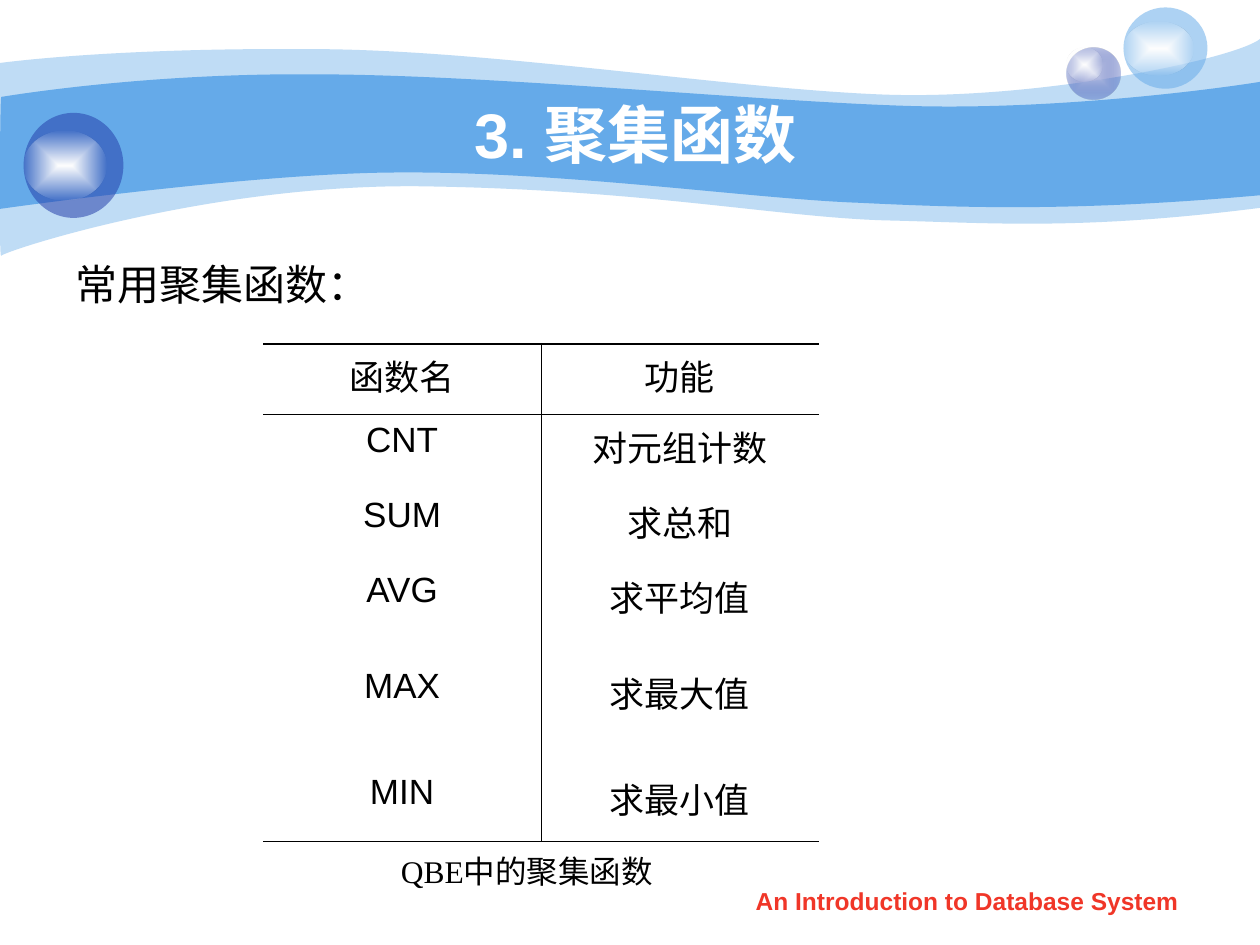
import pptx
import pptx.util
import pptx.dml.color
import pptx.enum.shapes
import pptx.enum.text
import pptx.oxml
import pptx.oxml.ns

Pt = pptx.util.Pt
ALIGN = pptx.enum.text.PP_ALIGN
MIDDLE = pptx.enum.text.MSO_ANCHOR.MIDDLE
OVAL = pptx.enum.shapes.MSO_SHAPE.OVAL
NS = pptx.oxml.ns.nsdecls("a")


def write(frame, text, size, color, font="Arial", align=ALIGN.CENTER, bold=False, before=0):
    """Fill a text frame with one formatted paragraph."""
    frame.word_wrap = True
    paragraph = frame.paragraphs[0]
    paragraph.text = text
    paragraph.alignment = align
    paragraph.space_before = Pt(before)
    paragraph.font.size = Pt(size)
    paragraph.font.name = font
    paragraph.font.bold = bold
    paragraph.font.color.rgb = pptx.dml.color.RGBColor.from_string(color)


def paint(shape, *stops):
    """Fill with one (colour, opacity), or with a gradient from centre to edge."""
    shape.shadow.inherit = False
    shape.line.fill.background()
    colors = [f'<a:srgbClr val="{color}"><a:alpha val="{opacity * 1000}"/></a:srgbClr>'
              for color, opacity in stops]
    if len(stops) == 1:
        xml = f"<a:solidFill {NS}>{colors[0]}</a:solidFill>"
    else:
        xml = (f'<a:gradFill {NS} rotWithShape="1"><a:gsLst><a:gs pos="0">{colors[0]}</a:gs>'
               f'<a:gs pos="100000">{colors[1]}</a:gs></a:gsLst><a:path path="rect">'
               '<a:fillToRect l="50000" t="50000" r="50000" b="50000"/></a:path></a:gradFill>')
    outline = shape._element.spPr.find(pptx.oxml.ns.qn("a:ln"))
    outline.addprevious(pptx.oxml.parse_xml(xml))


prs = pptx.Presentation()
prs.slide_width, prs.slide_height = Pt(720), Pt(540)
slide = prs.slides.add_slide(prs.slide_layouts[5])
shapes = slide.shapes

# Wave bands: a start point, then Bezier segments (three points) or lines (one point)
waves = [
    (41, (0, 36), [
        [(17.3, 33.8), (77, 27.4), (177.8, 28.1)],
        [(277.9, 28.1), (414, 50.4), (503.3, 54)],
        [(591.8, 57.6), (705.6, 33.8), (720, 22.3)],
        [(720, 118.8)],
        [(617.8, 131.8), (566.6, 127.4), (507.6, 126)],
        [(447.8, 124.6), (370.8, 108.7), (247, 106.6)],
        [(123.8, 103.7), (2.9, 143.3), (0.7, 146.2)],
        [(-0.7, 149.8), (0, 54), (0, 36)]]),
    (100, (0.7, 55.4), [
        [(1.4, 55.4), (79.2, 41.8), (178.6, 42.5)],
        [(277.9, 42.5), (428.4, 57.6), (517, 60.5)],
        [(605.5, 63.4), (702.7, 49.7), (720, 46.8)],
        [(720, 111.6)],
        [(614.2, 121), (550.8, 118.8), (491, 115.9)],
        [(431.3, 113.8), (321.8, 97.9), (228.2, 98.6)],
        [(146.2, 98.6), (-1.4, 119.5), (-0.7, 119.5)],
        [(0, 119.5), (0, 55.4), (0.7, 55.4)]]),
]
for opacity, start, segments in waves:
    builder = shapes.build_freeform(*map(Pt, start))
    builder.add_line_segments([(Pt(x), Pt(y)) for segment in segments for x, y in segment])
    wave = builder.convert_to_shape()
    # Join the three points of each Bezier segment into one curve
    lines = iter(wave._element.xpath(".//a:lnTo"))
    for segment in segments:
        steps = [next(lines) for _ in segment]
        if len(steps) == 3:
            curve = pptx.oxml.parse_xml(f"<a:cubicBezTo {NS}/>")
            steps[0].addprevious(curve)
            for step in steps:
                curve.append(step[0])
                step.getparent().remove(step)
    paint(wave, ("65AAE9", opacity))

# Bubbles, each with a highlight
glow = [("FFFFFF", 100), ("FEFEFE", 0)]
bubbles = [
    ((609.5, 27, 31, 29.5), [("C6CCE8", 100), ("233DA9", 31)]),
    ((609.5, 27, 20.5, 19.5), glow),
    ((642, 4.25, 48, 46.5), [("65AAE9", 53)]),
    ((642, 12.25, 40, 31), glow),
    ((13.5, 64.5, 57, 60), [("233DA9", 53)]),
    ((13.5, 74.5, 47.5, 40), glow),
]
for box, stops in bubbles:
    paint(shapes.add_shape(OVAL, *map(Pt, box)), *stops)

title = shapes.title
title.left, title.top, title.width, title.height = Pt(72), Pt(54), Pt(582), Pt(44.5)
write(title.text_frame, "3. 聚集函数", 36, "FFFFFF", bold=True)
title.text_frame.vertical_anchor = MIDDLE
shapes._spTree.append(title._element)  # in front of the waves

intro = shapes.add_textbox(Pt(36), Pt(144), Pt(318), Pt(354)).text_frame
write(intro, "常用聚集函数：", 24, "000000", align=ALIGN.JUSTIFY, before=6)

caption = shapes.add_textbox(Pt(222), Pt(483), Pt(166), Pt(29)).text_frame
write(caption, "QBE中的聚集函数", 18, "000000", font="Times New Roman", align=ALIGN.LEFT)
caption.word_wrap = False
caption.vertical_anchor = MIDDLE

functions = [
    ("函数名", "功能", 40.5),
    ("CNT", "对元组计数", 42.75),
    ("SUM", "求总和", 42.75),
    ("AVG", "求平均值", 55),
    ("MAX", "求最大值", 60.5),
    ("MIN", "求最小值", 43),
]
last = len(functions) - 1
table = shapes.add_table(len(functions), 2, Pt(150.4), Pt(196.4), Pt(317.5), Pt(284.5)).table
table.first_row = table.horz_banding = False
for column in table.columns:
    column.width = Pt(158.75)
THICK, THIN = 1.08, 0.45
for row, (name, purpose, height) in enumerate(functions):
    table.rows[row].height = Pt(height)
    for column, text in enumerate((name, purpose)):
        cell = table.cell(row, column)
        write(cell.text_frame, text, 20, "000000", before=5)
        borders = {
            "L": THIN if column == 1 else 0,
            "R": THIN if column == 0 else 0,
            "T": {0: THICK, 1: THIN}.get(row, 0),
            "B": {0: THIN, last: THICK}.get(row, 0),
        }
        for side, width in borders.items():
            fill = '<a:solidFill><a:srgbClr val="000000"/></a:solidFill>' if width else "<a:noFill/>"
            cell._tc.get_or_add_tcPr().append(pptx.oxml.parse_xml(
                f'<a:ln{side} {NS} w="{Pt(width)}">{fill}</a:ln{side}>'))
        cell.fill.background()

footer = shapes.add_textbox(Pt(411), Pt(502.5), Pt(283.5), Pt(25)).text_frame
write(footer, "An Introduction to Database System", 14, "F03628", bold=True)

prs.save("out.pptx")
